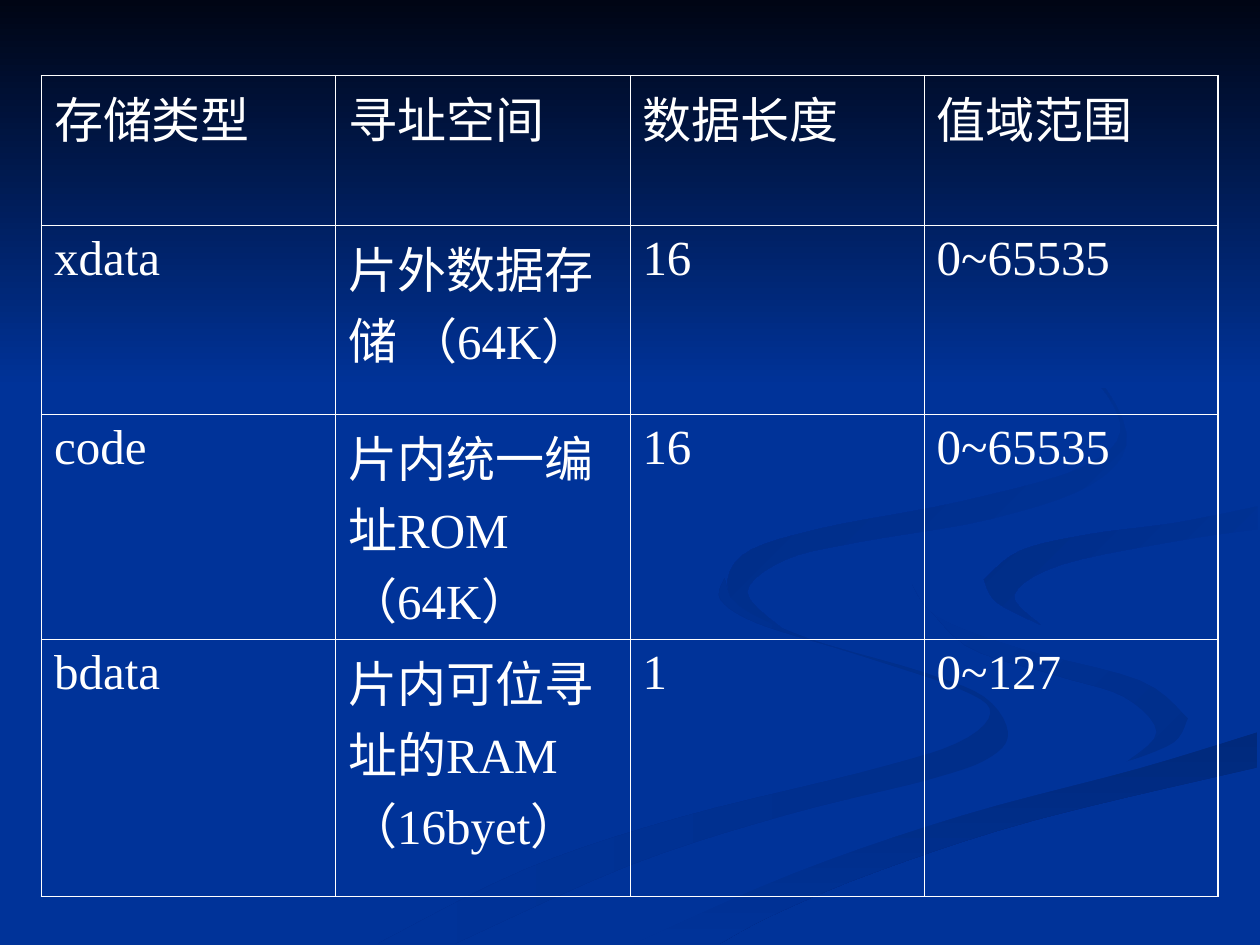
import pptx
import pptx.dml.color
import pptx.util
from lxml import etree
from pptx.oxml.ns import qn

Inches = pptx.util.Inches

BLUE = "003399"
ROWS = [
    ["存储类型", "寻址空间", "数据长度", "值域范围"],
    ["xdata", "片外数据存储 （64K）", "16", "0~65535"],
    ["code", "片内统一编址ROM（64K）", "16", "0~65535"],
    ["bdata", "片内可位寻址的RAM（16byet）", "1", "0~127"],
]
ROW_HEIGHTS = [1.19, 1.5, 1.56, 2.04]

# Edges shared by neighbouring ribbons: a few nodes each, in inches
FOLD = [(7.24, 4.64), (7.45, 4.9), (8.11, 5.15), (9.05, 5.4), (9.43, 5.7)]
SWEEP = [(5.03, 7.49), (6.3, 6.93), (7.64, 6.47), (9.03, 6.1), (9.98, 5.81)]
CURL = [(7.81, 4.6), (8.1, 4.37), (8.65, 4.24), (9.33, 4.15), (9.98, 4.02)]

# Each ribbon: its edges in drawing order, its colours, its gradient angle
RIBBONS = {
    "lower left": ([
        [(5.75, 4.59), (5.72, 4.76), (6.02, 4.95), (6.79, 5.19), (7.62, 5.47),
         (7.86, 5.66), (7.59, 5.9), (6.84, 6.13), (5.39, 6.49), (4.17, 6.9),
         (3, 7.49)],
        [(3.61, 7.49), (4.99, 6.87), (6.23, 6.47), (7.4, 6.18), (7.86, 6.01),
         (8, 5.81), (7.81, 5.53), (7.31, 5.33), (6.42, 5.07), (5.87, 4.81),
         (5.75, 4.59)],
    ], ["002E8A", BLUE], 180),
    "lower right": ([
        FOLD,
        [(9.43, 5.7), (9.32, 5.89), (8.94, 6.05)],
        [(8.94, 6.05), (9.18, 5.81), (8.92, 5.53), (8.38, 5.36), (7.66, 5.12),
         (7.24, 4.64)],
    ], ["002E8A", BLUE], 225),
    "bottom": ([
        SWEEP,
        [(9.98, 6.09), (8.21, 6.51), (6.95, 6.92), (6.14, 7.26), (5.71, 7.49)],
    ], ["00297C", BLUE], 90),
    "centre": ([
        FOLD,
        [(9.43, 5.7), (9.31, 5.9), (8.92, 6.05), (7.8, 6.34), (6.19, 6.84),
         (4.77, 7.49)],
        SWEEP,
        [(9.98, 5.38), (9.04, 5.19), (8.32, 4.98), (7.86, 4.73), (7.81, 4.6)],
        CURL,
        [(9.98, 3.87), (9.2, 4.01), (8.3, 4.15), (7.55, 4.32), (7.24, 4.64)],
    ], [BLUE], 0),
    "right curl": ([
        CURL,
        [(9.98, 4.2), (9.36, 4.29), (8.43, 4.48), (8.05, 4.72), (8.26, 4.96)],
        [(8.26, 4.96), (7.91, 4.78), (7.81, 4.6)],
    ], [BLUE, "002C85"], 225),
    "upper curl": ([
        [(7.62, 2.33), (8.46, 2.79), (8.89, 3.35), (8.61, 3.7), (7.63, 3.98),
         (6.49, 4.2), (5.89, 4.41), (5.8, 4.74), (6.22, 5)],
        [(6.22, 5), (5.93, 4.7), (6.24, 4.44), (6.83, 4.3), (7.86, 4.12),
         (8.67, 3.84), (8.94, 3.44), (8.54, 2.83), (7.62, 2.33)],
    ], [BLUE, "002B81"], 225),
    "top shade": ([
        [(0, 0), (10, 0)], [(10, 3.08), (0, 3.08)],
    ], ["000514", BLUE], 90),
}


def rgb(value):
    return pptx.dml.color.RGBColor.from_string(value)


def blend(a, b, c, d, t):
    """Catmull-Rom value between b and c, at t from 0 to 1."""
    return (2 * b + (c - a) * t + (2 * a - 5 * b + 4 * c - d) * t ** 2
            + (3 * b - a - 3 * c + d) * t ** 3) / 2


def smooth(nodes, steps=5):
    """Points of a smooth curve that passes through every node."""
    padded = [nodes[0], *nodes, nodes[-1]]
    points = [tuple(blend(*axis, step / steps) for axis in zip(*window))
              for window in zip(padded, padded[1:], padded[2:], padded[3:])
              for step in range(steps)]
    return points + [nodes[-1]]


class Deck:
    font = "Times New Roman"
    size = 28
    text = "FFFFFF"
    inner, outer = 0.45, 1.08

    def __init__(self):
        self.prs = pptx.Presentation()
        self.prs.slide_width, self.prs.slide_height = Inches(10), Inches(7.5)

    def add_slide(self, color):
        self.slide = self.prs.slides.add_slide(self.prs.slide_layouts[6])
        fill = self.slide.background.fill
        fill.solid()
        fill.fore_color.rgb = rgb(color)

    def ribbon(self, edges, colors, angle):
        """Join smooth edges; fill with one colour or a clockwise gradient."""
        start, *rest = [(Inches(x), Inches(y))
                        for edge in edges for x, y in smooth(edge)]
        builder = self.slide.shapes.build_freeform(*start)
        builder.add_line_segments(rest, close=True)
        sp = builder.convert_to_shape()
        sp.shadow.inherit = False
        sp.line.fill.background()
        if len(colors) == 1:
            sp.fill.solid()
            sp.fill.fore_color.rgb = rgb(colors[0])
            return
        sp.fill.gradient()
        sp.fill.gradient_angle = 360 - angle
        for stop, color in zip(sp.fill.gradient_stops, colors):
            stop.color.rgb = rgb(color)

    def border(self, cell, side, width):
        ln = etree.SubElement(cell._tc.get_or_add_tcPr(), qn("a:ln" + side),
                              w=str(pptx.util.Pt(width)))
        fill = etree.SubElement(ln, qn("a:solidFill"))
        etree.SubElement(fill, qn("a:srgbClr"), val=self.text)

    def cell(self, cell, text, edges):
        for side, is_outer in edges.items():
            self.border(cell, side, self.outer if is_outer else self.inner)
        cell.fill.background()
        p = cell.text_frame.paragraphs[0]
        p.space_before = pptx.util.Pt(7)
        r = p.add_run()
        r.text = text
        r.font.name = self.font
        r.font.size = pptx.util.Pt(self.size)
        r.font.color.rgb = rgb(self.text)

    def table(self, rows, heights, left, top, width):
        n_rows, n_cols = len(rows), len(rows[0])
        table = self.slide.shapes.add_table(
            n_rows, n_cols, Inches(left), Inches(top),
            Inches(width), Inches(sum(heights))).table
        table.first_row = table.horz_banding = False
        for column in table.columns:
            column.width = Inches(width / n_cols)
        for i, (row, height) in enumerate(zip(rows, heights)):
            table.rows[i].height = Inches(height)
            for j, text in enumerate(row):
                edges = {"L": j == 0, "R": j == n_cols - 1,
                         "T": i == 0, "B": i == n_rows - 1}
                self.cell(table.cell(i, j), text, edges)


def main():
    deck = Deck()
    deck.add_slide(BLUE)

    # Background ribbons, back to front
    for edges, colors, angle in RIBBONS.values():
        deck.ribbon(edges, colors, angle)

    # Storage type table
    deck.table(ROWS, ROW_HEIGHTS, 0.33, 0.6, 9.34)

    deck.prs.save("out.pptx")


if __name__ == "__main__":
    main()
